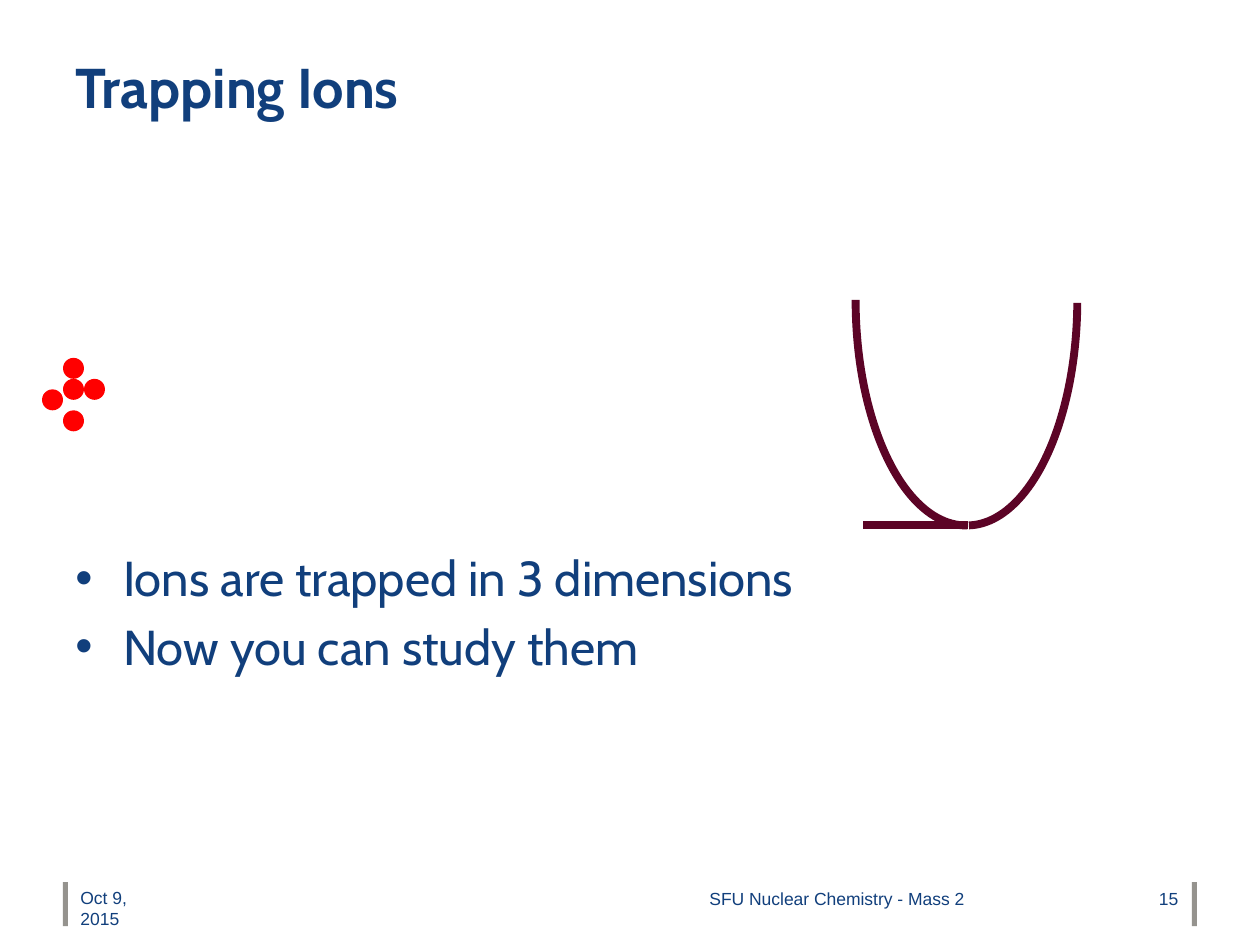
from lxml import etree
from pptx import Presentation
from pptx.dml.color import RGBColor
from pptx.enum.shapes import MSO_CONNECTOR, MSO_SHAPE
from pptx.enum.text import MSO_ANCHOR, PP_ALIGN
from pptx.oxml.ns import qn
from pptx.util import Inches, Pt

RECT, ARC, OVAL = MSO_SHAPE.RECTANGLE, MSO_SHAPE.ARC, MSO_SHAPE.OVAL
STRAIGHT = MSO_CONNECTOR.STRAIGHT
LEFT, RIGHT = PP_ALIGN.LEFT, PP_ALIGN.RIGHT
TOP, MIDDLE = MSO_ANCHOR.TOP, MSO_ANCHOR.MIDDLE

COLORS = {"text": "113F7C", "bar": "95938E", "well": "5C0426", "ion": "FF0000"}
WELL_WIDTH = Pt(4.5)


def color(name):
    return RGBColor.from_string(COLORS[name])


def add_solid(shapes, kind, left, top, width, height, fill):
    solid = shapes.add_shape(kind, Inches(left), Inches(top), Inches(width), Inches(height))
    solid.shadow.inherit = False
    solid.fill.solid()
    solid.fill.fore_color.rgb = color(fill)
    solid.line.fill.background()


def add_text(slide, box, lines, size, font, bold=False, align=LEFT, anchor=TOP):
    frame = slide.shapes.add_textbox(*map(Inches, box)).text_frame
    frame.word_wrap = True
    frame.vertical_anchor = anchor
    frame.text = "\n".join(lines)
    for paragraph in frame.paragraphs:
        paragraph.alignment = align
        for run in paragraph.runs:
            run.font.size = Pt(size)
            run.font.name = font
            run.font.bold = bold
            run.font.color.rgb = color("text")
    return frame


def add_bullets(frame, indent, gap):
    for index, paragraph in enumerate(frame.paragraphs):
        properties = paragraph._p.get_or_add_pPr()
        properties.set("marL", str(Inches(indent)))
        properties.set("indent", str(-Inches(indent)))
        etree.SubElement(properties, qn("a:buFont")).set("typeface", "Arial")
        etree.SubElement(properties, qn("a:buChar")).set("char", "•")
        if index:
            paragraph.space_before = Pt(gap)


def add_well_side(slide, left, start, end):
    side = slide.shapes.add_shape(ARC, Inches(left), Inches(0.59), Inches(1.75), Inches(3.58))
    side.adjustments[0] = start
    side.adjustments[1] = end
    side.rotation = 180
    side.shadow.inherit = False
    side.fill.background()
    side.line.color.rgb = color("well")
    side.line.width = WELL_WIDTH


def add_well_floor(slide, start, end, y):
    floor = slide.shapes.add_connector(STRAIGHT, Inches(start), Inches(y), Inches(end), Inches(y))
    floor.line.color.rgb = color("well")
    floor.line.width = WELL_WIDTH
    etree.SubElement(floor._element.spPr, qn("a:effectLst"))


def add_ions(slide, left, top):
    diameter = 1 / 6
    cluster = slide.shapes.add_group_shape()
    # Column and row of each ion, counted in diameters
    for column, row in [(0, 0), (0, 1), (1, 1), (-1, 1.5), (0, 2.5)]:
        add_solid(cluster.shapes, OVAL, left + column * diameter, top + row * diameter,
                  diameter, diameter, "ion")


def main():
    prs = Presentation()
    prs.slide_width, prs.slide_height = Inches(10), Inches(7.5)
    slide = prs.slides.add_slide(prs.slide_layouts[6])

    # Footer bars
    for left in (0.5, 9.46):
        add_solid(slide.shapes, RECT, left, 7, 0.04, 0.35, "bar")

    # Bullets and title
    points = add_text(slide, (0.5, 4.3, 9, 2.37),
                      ["Ions are trapped in 3 dimensions", "Now you can study them"],
                      28, "Cabin")
    add_bullets(points, indent=0.38, gap=5.6)
    title = add_text(slide, (0.5, 0.41, 9, 0.66), ["Trapping Ions"], 32, "Cabin",
                     bold=True, anchor=MIDDLE)
    title.paragraphs[0].line_spacing = Pt(30.4)

    # Footer texts
    for box, words, align in [
        ((0.54, 6.99, 0.87, 0.52), "Oct 9, 2015", LEFT),
        ((2.63, 7, 5.12, 0.52), "SFU Nuclear Chemistry - Mass 2", RIGHT),
        ((7.88, 7, 1.57, 0.52), "15", RIGHT),
    ]:
        add_text(slide, box, [words], 10, "Arial", align=align)

    # Potential well
    add_well_side(slide, 6.79, 161.76, 0)
    add_well_side(slide, 6.8, 108.92, 161.72)
    add_well_floor(slide, 7.68, 6.85, 4.17)

    # Ion cluster
    add_ions(slide, 0.5, 2.84)

    prs.save("out.pptx")


if __name__ == "__main__":
    main()
